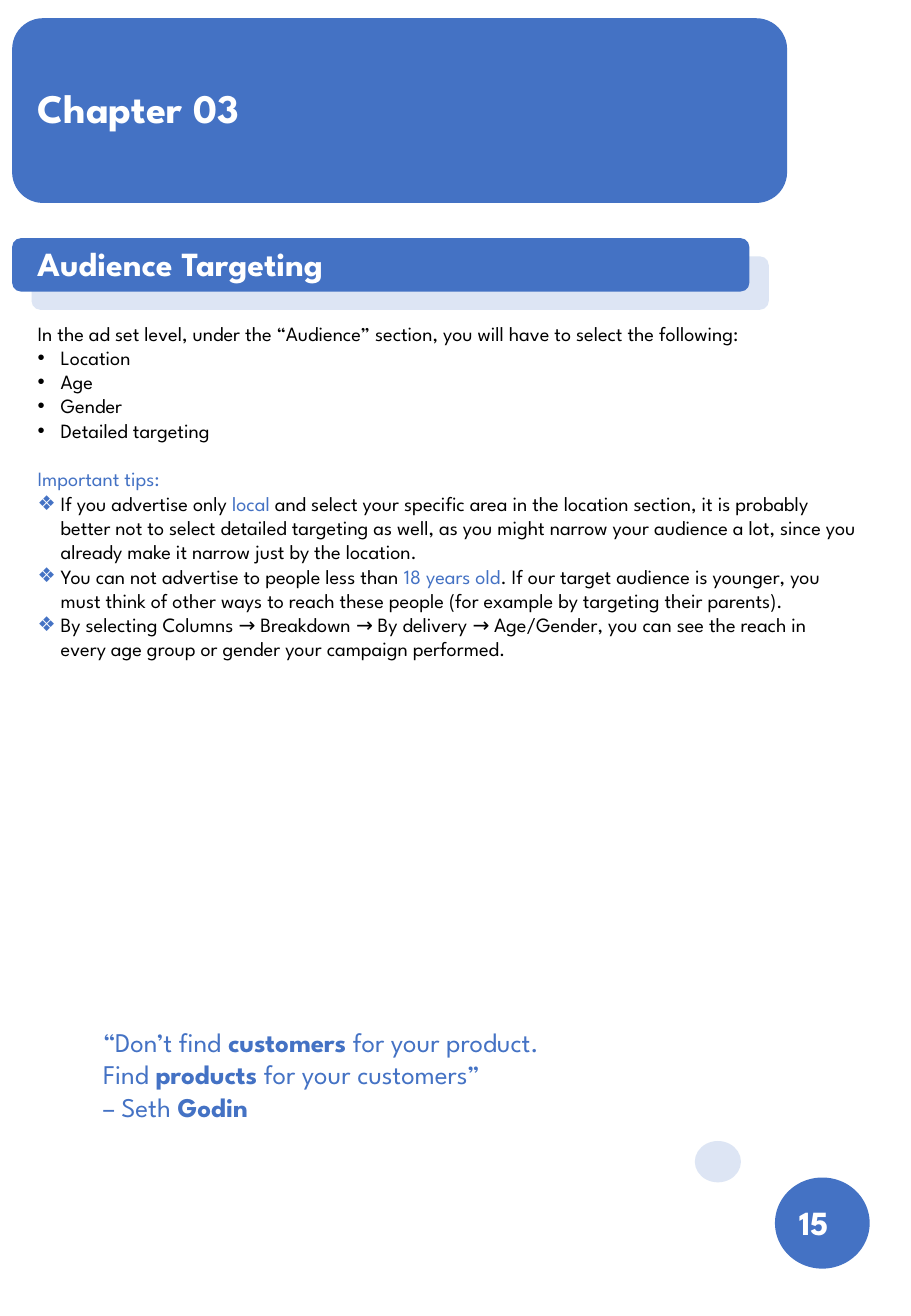
from pptx import Presentation
from pptx.dml.color import RGBColor as RGB
from pptx.enum.shapes import MSO_SHAPE as Shape
from pptx.enum.text import MSO_ANCHOR as Anchor, MSO_AUTO_SIZE as Fit, PP_ALIGN as Align
from pptx.oxml.ns import qn
from pptx.util import Pt
from lxml.etree import SubElement as Sub

PX = 9144
FONT = "League Spartan"
COL = {"blue": "4472C4", "pale": "B4C7E7", "white": "FFFFFF", "black": "000000"}
FRAME = {"word_wrap": True, "auto_size": Fit.NONE, "vertical_anchor": Anchor.TOP,
         "margin_left": 10 * PX, "margin_right": 10 * PX,
         "margin_top": 5 * PX, "margin_bottom": 5 * PX}
PARA = {"alignment": Align.LEFT, "line_spacing": 1.0, "space_after": Pt(0)}

INTRO = "In the ad set level, under the “Audience” section, you will have to select the following:"
FIELDS = ["Location", "Age", "Gender", "Detailed targeting"]
TIPS = [
    "If you advertise only *local* and select your specific area in the location section, "
    "it is probably better not to select detailed targeting as well, as you might narrow "
    "your audience a lot, since you already make it narrow just by the location.",
    "You can not advertise to people less than *18 years old*. If our target audience is "
    "younger, you must think of other ways to reach these people (for example by targeting "
    "their parents).",
    "By selecting Columns → Breakdown → By delivery → Age/Gender, you can see the reach in "
    "every age group or gender your campaign performed.",
]
QUOTE = ["“Don’t find *customers* for your product. Find *products* for your customers”",
         "– Seth *Godin*"]


def apply(item, values):
    """Set each named attribute of an item."""
    for name, value in values.items():
        setattr(item, name, value)


def place(item, box):
    """Move an item into a pixel box."""
    apply(item, dict(zip(("left", "top", "width", "height"), (n * PX for n in box))))


def draw(slide, kind, box, color, alpha=None):
    """Draw a flat shape, see-through if alpha is given."""
    shape = slide.shapes.add_shape(kind, *(n * PX for n in box))
    shape.shadow.inherit = False
    shape.fill.solid()
    shape.fill.fore_color.rgb = RGB.from_string(COL[color])
    shape.line.fill.background()
    if alpha:
        tone = shape.element.spPr.find(qn("a:solidFill"))[0]
        Sub(tone, qn("a:alpha"), val=str(alpha * 1000))


def bullet(para, sign, color):
    """Give a paragraph a hanging sign, or none."""
    props = para._p.get_or_add_pPr()
    hang = 19 * PX if sign else 0
    props.set("marL", str(hang))
    props.set("indent", str(-hang))
    if sign:
        Sub(Sub(props, qn("a:buClr")), qn("a:srgbClr"), val=COL[color])
        Sub(props, qn("a:buFont"), typeface="Arial")
        Sub(props, qn("a:buChar"), char=sign)
    else:
        Sub(props, qn("a:buNone"))


def write(para, text, size, color, mark=None, bold=False, sign=None, gap=0):
    """Write a paragraph whose starred parts take the mark colour or bold."""
    bullet(para, sign, "blue" if sign == "❖" else color)
    apply(para, PARA | {"space_before": Pt(gap)})
    for i, part in enumerate(text.split("*")):
        if part:
            run = para.add_run()
            run.text = part
            star = i % 2 == 1
            apply(run.font, {"name": FONT, "size": Pt(size),
                             "bold": bold or (star and not mark)})
            run.font.color.rgb = RGB.from_string(COL[mark if star and mark else color])


def fill(item, box, lines):
    """Place a text holder and write its lines."""
    place(item, box)
    frame = item.text_frame
    apply(frame, FRAME)
    for i, line in enumerate(lines):
        write(frame.add_paragraph() if i else frame.paragraphs[0], **line)


def label(slide, box, lines):
    """Add a text box with its lines."""
    fill(slide.shapes.add_textbox(0, 0, PX, PX), box, lines)


def banner(slide, x, y, w, h):
    """Draw the chapter banner and its title."""
    draw(slide, Shape.ROUNDED_RECTANGLE, (x, y, w, h), "blue")
    title = slide.shapes.title
    slide.shapes._spTree.append(title.element)
    fill(title, (x + 11, y + 48, 305, 50),
         [dict(text="Chapter 03", size=24, color="white", bold=True)])


def heading(slide, x, y, w, h):
    """Draw the section bar over its pale offset bar."""
    draw(slide, Shape.ROUNDED_RECTANGLE, (x + 16, y + 15, w, h), "pale", 45)
    draw(slide, Shape.ROUNDED_RECTANGLE, (x, y, w, h), "blue")
    label(slide, (x + 11, y - 1, 305, h),
          [dict(text="Audience Targeting", size=20, color="white", bold=True)])


def body(slide, *box):
    """Write the fields and the tips in the body placeholder."""
    base = dict(size=12, color="black")
    lines = [base | dict(text=INTRO)]
    lines += [base | dict(text=t, sign="•") for t in FIELDS]
    lines += [dict(text="Important tips:", size=12, color="blue", gap=14.4)]
    lines += [base | dict(text=t, sign="❖", mark="blue") for t in TIPS]
    fill(slide.placeholders[1], box, lines)


def quote(slide, *box):
    """Write the quote and its author."""
    label(slide, box, [dict(text=t, size=16, color="blue") for t in QUOTE])


def folio(slide, x, y, w, h):
    """Draw the two dots and the page number."""
    draw(slide, Shape.OVAL, (x, y, 38, 34), "pale", 45)
    draw(slide, Shape.OVAL, (x + w - 78, y + h - 75, 78, 75), "blue")
    label(slide, (x + w - 68, y + h - 60, 68, 45),
          [dict(text="15", size=20, color="white", bold=True)])


def main():
    """Build the page and save it."""
    deck = Presentation()
    apply(deck, {"slide_width": 750 * PX, "slide_height": 1083 * PX})
    slide = deck.slides.add_slide(deck.slide_layouts[1])
    banner(slide, 10, 15, 638, 152)
    heading(slide, 10, 196, 607, 44)
    body(slide, 21, 259, 695, 495)
    quote(slide, 75, 839, 414, 118)
    folio(slide, 572, 939, 144, 105)
    deck.save("out.pptx")


if __name__ == "__main__":
    main()
